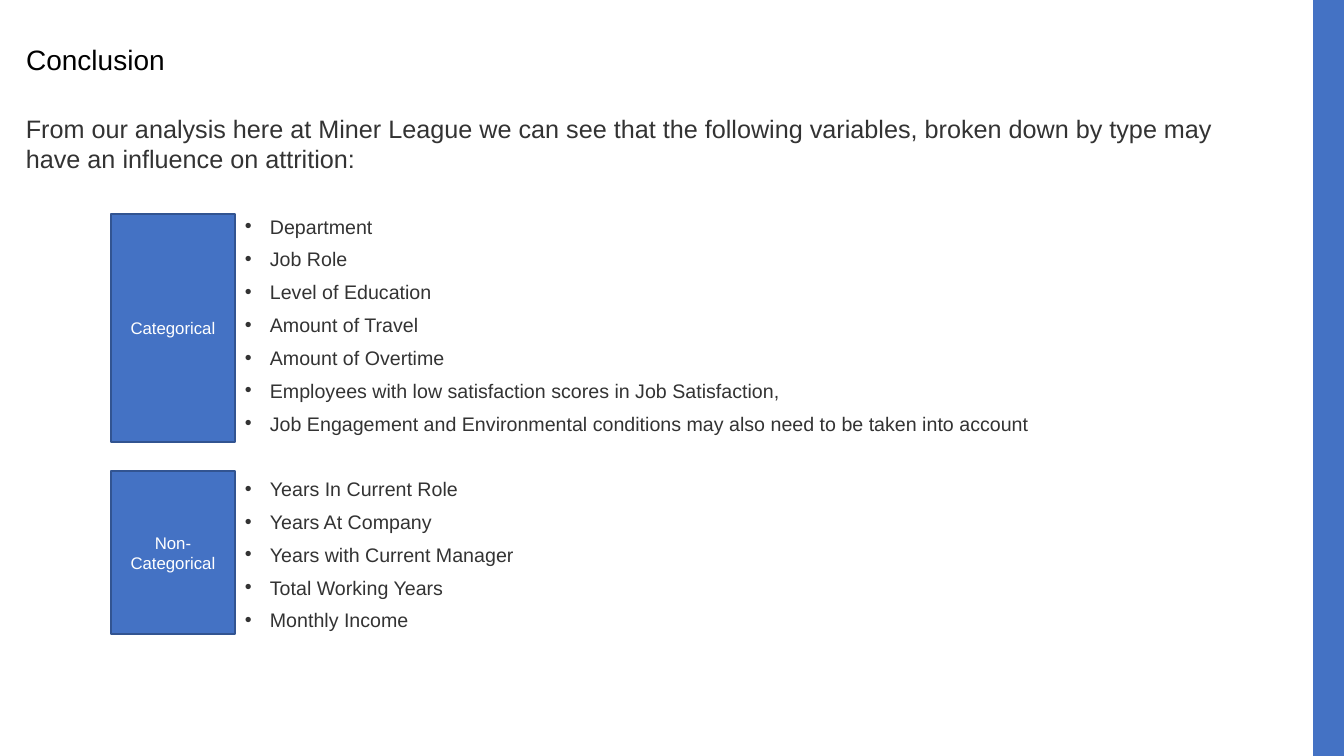
import pptx
import pptx.dml.color
import pptx.enum.shapes
import pptx.enum.text
import pptx.oxml.ns
import pptx.util
import lxml.etree

TITLE = "Conclusion"
INTRO = ("From our analysis here at Miner League we can see that the following variables, "
         "broken down by type may have an influence on attrition:")
# label, top px, height px, variables
GROUPS = [
    ("Categorical", 214, 228, [
        "Department",
        "Job Role",
        "Level of Education",
        "Amount of Travel",
        "Amount of Overtime",
        "Employees with low satisfaction scores in Job Satisfaction,",
        "Job Engagement and Environmental conditions may also need to be taken into account",
    ]),
    ("Non-Categorical", 471, 163, [
        "Years In Current Role",
        "Years At Company",
        "Years with Current Manager",
        "Total Working Years",
        "Monthly Income",
    ]),
]

BLUE, OUTLINE, GREY, BLACK, WHITE = "4472C4", "325491", "333333", "000000", "FFFFFF"
SLIDE_W, SLIDE_H, BAR_LEFT = 1344, 756, 1313
LABEL_LEFT, LABEL_W = 111, 124
ITEM_GAP, GROUP_GAP = 10, 33.4  # points
ANCHOR = pptx.enum.text.MSO_ANCHOR
ALIGN = pptx.enum.text.PP_ALIGN


def px(length):
    return pptx.util.Emu(round(length * 914400 / 100.8))


def color(hex_code):
    return pptx.dml.color.RGBColor.from_string(hex_code)


def place(shape, left, top, width, height):
    shape.left, shape.top = px(left), px(top)
    shape.width, shape.height = px(width), px(height)


def write(paragraph, text, size, hex_code, align=ALIGN.LEFT):
    paragraph.text = text
    paragraph.alignment = align
    font = paragraph.runs[0].font
    font.name, font.size = "Arial", pptx.util.Pt(size)
    font.color.rgb = color(hex_code)


def add_block(slide, left, top, width, height):
    block = slide.shapes.add_shape(pptx.enum.shapes.MSO_SHAPE.RECTANGLE,
                                   px(left), px(top), px(width), px(height))
    block.shadow.inherit = False
    block.fill.solid()
    block.fill.fore_color.rgb = color(BLUE)
    block.line.fill.background()
    return block


def add_text_frame(slide, left, top, width, height):
    frame = slide.shapes.add_textbox(px(left), px(top), px(width), px(height)).text_frame
    frame.word_wrap = True
    return frame


def add_bullet(paragraph, indent):
    properties = paragraph._p.get_or_add_pPr()
    properties.set("marL", str(px(indent)))
    properties.set("indent", str(-px(indent)))
    for tag, attribute, value in (("a:buFont", "typeface", "Arial"), ("a:buChar", "char", "•")):
        lxml.etree.SubElement(properties, pptx.oxml.ns.qn(tag)).set(attribute, value)


def add_label(slide, text, top, height):
    label = add_block(slide, LABEL_LEFT, top, LABEL_W, height)
    label.line.color.rgb = color(OUTLINE)
    label.line.width = pptx.util.Pt(1)
    label.text_frame.word_wrap = True
    label.text_frame.vertical_anchor = ANCHOR.MIDDLE
    write(label.text_frame.paragraphs[0], text, 12, WHITE, ALIGN.CENTER)


def add_variables(slide):
    frame = add_text_frame(slide, LABEL_LEFT + LABEL_W, 174, 986, 480)
    frame.margin_top = px(45)
    for group_index, (_, _, _, variables) in enumerate(GROUPS):
        for index, variable in enumerate(variables):
            first = group_index == index == 0
            paragraph = frame.paragraphs[0] if first else frame.add_paragraph()
            write(paragraph, variable, 14, GREY)
            paragraph.line_spacing = 0.8
            gap = 0 if first else ITEM_GAP if index else GROUP_GAP
            paragraph.space_before = pptx.util.Pt(gap)
            add_bullet(paragraph, 25)


def main():
    deck = pptx.Presentation()
    deck.slide_width, deck.slide_height = px(SLIDE_W), px(SLIDE_H)
    slide = deck.slides.add_slide(deck.slide_layouts[5])

    add_block(slide, BAR_LEFT, 0, SLIDE_W - BAR_LEFT, SLIDE_H)
    add_variables(slide)

    title = slide.shapes.title
    place(title, 16, 14, 1273, 94)
    write(title.text_frame.paragraphs[0], TITLE, 20, BLACK)
    title.text_frame.paragraphs[0].line_spacing = 0.9
    title.text_frame.vertical_anchor = ANCHOR.MIDDLE
    title.text_frame.auto_size = pptx.enum.text.MSO_AUTO_SIZE.NONE

    intro = add_text_frame(slide, 16, 108, 1247, 71)
    write(intro.paragraphs[0], INTRO, 18, GREY)

    for label, top, height, _ in GROUPS:
        add_label(slide, label, top, height)

    deck.save("out.pptx")


if __name__ == "__main__":
    main()
